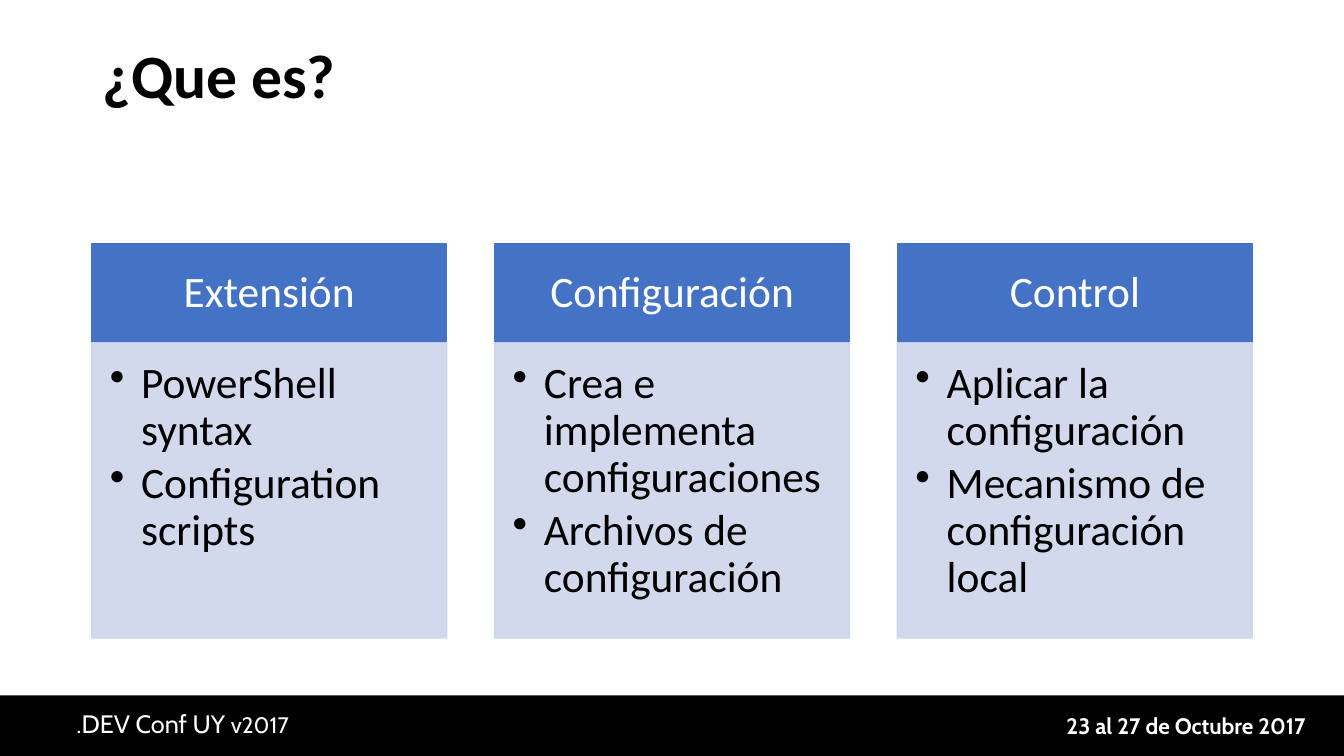
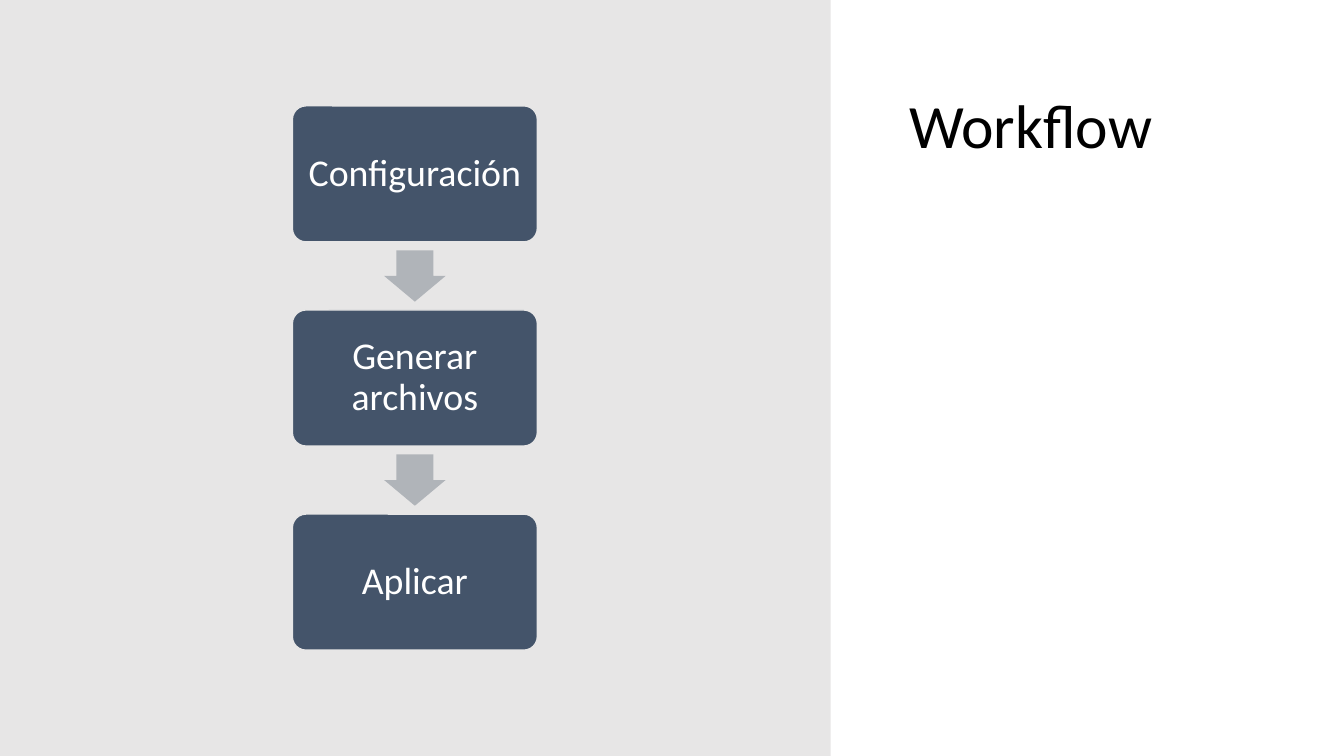
from dataclasses import dataclass

from lxml import etree
from pptx import Presentation
from pptx.dml.color import RGBColor
from pptx.enum.shapes import MSO_SHAPE
from pptx.enum.text import MSO_ANCHOR, PP_ALIGN
from pptx.oxml.ns import qn
from pptx.util import Inches, Pt

RECT, ROUNDED, DOWN_ARROW = MSO_SHAPE.RECTANGLE, MSO_SHAPE.ROUNDED_RECTANGLE, MSO_SHAPE.DOWN_ARROW
LEFT, CENTER, RIGHT = PP_ALIGN.LEFT, PP_ALIGN.CENTER, PP_ALIGN.RIGHT
TOP, MIDDLE = MSO_ANCHOR.TOP, MSO_ANCHOR.MIDDLE
SLIDE_W, SLIDE_H = 13.33, 7.5
TEXT_INSETS = (0.1, 0.05, 0.1, 0.05)


@dataclass(frozen=True)
class Theme:
    """Colours, fonts and type sizes of the deck."""
    black: str = "000000"
    white: str = "FFFFFF"
    header: str = "4472C4"
    column: str = "CFD5EA"
    panel: str = "E7E6E6"
    step: str = "44546A"
    arrow: str = "B0B4B9"
    body_font: str = "Calibri"
    footer_font: str = "Cabin"
    title_size: int = 44
    column_size: int = 31
    step_size: int = 27
    event_size: int = 18
    footer_size: int = 16


THEME = Theme()


def add_block(slide, box, fill, line=None, kind=RECT, adjustments=()):
    """Add a filled preset shape in the box."""
    block = slide.shapes.add_shape(kind, *map(Inches, box))
    block.shadow.inherit = False
    block.fill.solid()
    block.fill.fore_color.rgb = RGBColor.from_string(fill)
    if line:
        block.line.color.rgb = RGBColor.from_string(line)
        block.line.width = Pt(1)
    else:
        block.line.fill.background()
    for index, value in enumerate(adjustments):
        block.adjustments[index] = value
    return block


def set_opacity(block, percent):
    """Make the fill and line of a block partly transparent."""
    for color in block.fill._xPr.iter(qn("a:srgbClr")):
        etree.SubElement(color, qn("a:alpha")).set("val", str(percent * 1000))


def set_frame(shape, insets=TEXT_INSETS, anchor=TOP):
    """Prepare the text frame of a shape and return it."""
    frame = shape.text_frame
    frame.word_wrap = True
    frame.vertical_anchor = anchor
    (frame.margin_left, frame.margin_top,
     frame.margin_right, frame.margin_bottom) = map(Inches, insets)
    return frame


def add_run(paragraph, text, size, color, font=THEME.body_font, bold=False):
    """Append one styled run."""
    run = paragraph.add_run()
    run.text = text
    run.font.size = Pt(size)
    run.font.name = font
    run.font.bold = bold
    run.font.color.rgb = RGBColor.from_string(color)


def add_label(block, text, size, insets):
    """Write a white centred label inside a block."""
    label = set_frame(block, insets, MIDDLE).paragraphs[0]
    label.alignment = CENTER
    label.line_spacing = 0.9
    add_run(label, text, size, THEME.white)


def add_bullets(block, items):
    """Write a bulleted list inside a block."""
    frame = set_frame(block, (0.18, 0.18, 0.24, 0.27))
    for index, item in enumerate(items):
        bullet = frame.add_paragraph() if index else frame.paragraphs[0]
        bullet.alignment = LEFT
        bullet.line_spacing = 0.9
        bullet.space_after = Pt(4.5)
        properties = bullet._p.get_or_add_pPr()
        properties.set("marL", str(Inches(0.31)))
        properties.set("indent", str(-Inches(0.31)))
        etree.SubElement(properties, qn("a:buChar")).set("char", "•")
        add_run(bullet, item, THEME.column_size, THEME.black)


def add_title(slide, box, text, bold=False):
    """Add the slide title."""
    title = set_frame(slide.shapes.add_textbox(*map(Inches, box))).paragraphs[0]
    title.line_spacing = 0.9
    add_run(title, text, THEME.title_size, THEME.black, bold=bold)


def add_footer(slide, box):
    """Add the black band with the event name and its dates."""
    left, top, width, _ = box
    add_block(slide, box, THEME.black)
    event_parts = ((".DEV Conf UY ", THEME.event_size, False), ("v2017", THEME.footer_size, False))
    date_parts = (("23 al 27 de Octubre 2017", THEME.footer_size, True),)
    places = (
        ((left + 0.66, top + 0.08, 3.3, 0.4), LEFT, event_parts),
        ((left + width - 3.33, top + 0.12, 3.05, 0.37), RIGHT, date_parts),
    )
    for place, alignment, parts in places:
        note = set_frame(slide.shapes.add_textbox(*map(Inches, place))).paragraphs[0]
        note.alignment = alignment
        for text, size, bold in parts:
            add_run(note, text, size, THEME.white, THEME.footer_font, bold)


def add_columns(slide, box, columns):
    """Place equal columns, each with a header over a bulleted list."""
    left, top, width, height = box
    column_w, header_h = 3.52, 0.98
    pitch = (width - column_w) / (len(columns) - 1)
    for index, (heading, items) in enumerate(columns):
        x = left + index * pitch
        header = add_block(slide, (x, top, column_w, header_h), THEME.header, THEME.header)
        add_label(header, heading, THEME.column_size, (0.24, 0.14, 0.24, 0.14))
        body = add_block(slide, (x, top + header_h, column_w, height - header_h),
                         THEME.column, THEME.column)
        set_opacity(body, 90)
        add_bullets(body, items)


def add_flow(slide, box, steps):
    """Stack the steps from top to bottom with an arrow in each gap."""
    left, top, width, height = box
    step_h, arrow_w, arrow_h = 1.35, 0.61, 0.51
    pitch = (height - step_h) / (len(steps) - 1)
    gap = pitch - step_h
    for index, text in enumerate(steps):
        y = top + index * pitch
        if index:
            arrow_box = (left + (width - arrow_w) / 2, y - (gap + arrow_h) / 2, arrow_w, arrow_h)
            add_block(slide, arrow_box, THEME.arrow, kind=DOWN_ARROW, adjustments=(0.6, 0.5))
        step = add_block(slide, (left, y, width, step_h), THEME.step, THEME.panel, ROUNDED, (0.1,))
        add_label(step, text, THEME.step_size, (0.1, 0.1, 0.1, 0.1))


def build_definition(slide):
    """Build the slide that says what it is."""
    add_footer(slide, (0, 6.9, SLIDE_W, 0.6))
    add_title(slide, (0.92, 0.4, 11.5, 1.45), "¿Que es?", bold=True)
    add_columns(slide, (0.91, 2.42, 11.51, 3.91), (
        ("Extensión", ("PowerShell syntax", "Configuration scripts")),
        ("Configuración", ("Crea e implementa configuraciones", "Archivos de configuración")),
        ("Control", ("Aplicar la configuración", "Mecanismo de configuración local")),
    ))


def build_workflow(slide):
    """Build the workflow slide."""
    add_block(slide, (0, 0, 8.24, SLIDE_H), THEME.panel)
    add_title(slide, (8.92, 0.9, 3.5, 5.16), "Workflow")
    add_flow(slide, (2.9, 1.05, 2.43, 5.4), ("Configuración", "Generar archivos", "Aplicar"))


def main():
    """Build and save the deck."""
    deck = Presentation()
    deck.slide_width, deck.slide_height = Inches(SLIDE_W), Inches(SLIDE_H)
    blank = deck.slide_layouts[6]
    for build in (build_definition, build_workflow):
        build(deck.slides.add_slide(blank))
    deck.save("out.pptx")


if __name__ == "__main__":
    main()
